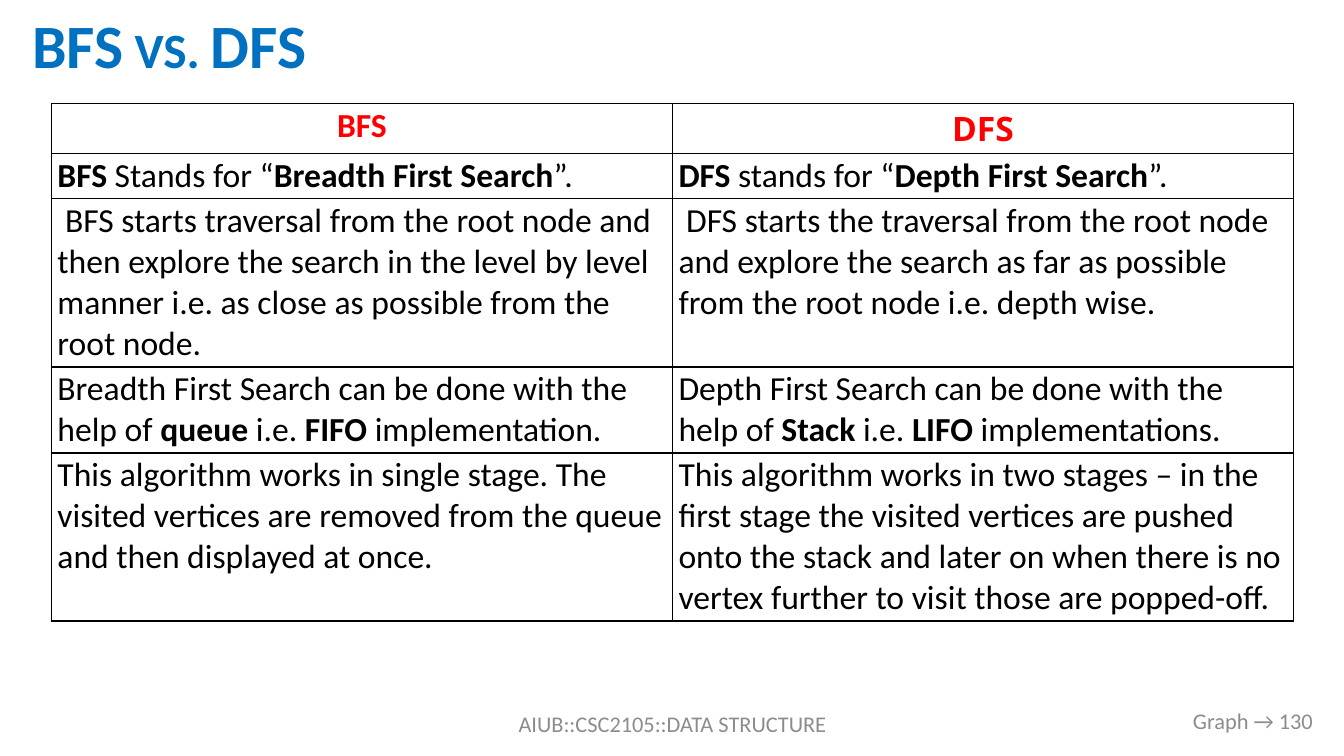
import pptx
import pptx.util
import pptx.dml.color
import pptx.enum.text
from pptx.util import Inches
from lxml import etree

TITLE = "BFS vs. DFS"
HEADERS = [("BFS", "Calibri"), ("DFS", "Open Sans")]
ROWS = [
    ([("BFS", True), (" Stands for “", False), ("Breadth First Search", True), ("”.", False)],
     [("DFS", True), (" stands for “", False), ("Depth First Search", True), ("”.", False)]),
    ([(" BFS starts traversal from the root node and then explore the search in the "
       "level by level manner i.e. as close as possible from the root node.", False)],
     [(" DFS starts the traversal from the root node and explore the search as far as "
       "possible from the root node i.e. depth wise.", False)]),
    ([("Breadth First Search can be done with the help of ", False), ("queue", True),
      (" i.e. ", False), ("FIFO", True), (" implementation.", False)],
     [("Depth First Search can be done with the help of ", False), ("Stack", True),
      (" i.e. ", False), ("LIFO", True), (" implementations.", False)]),
    ([("This algorithm works in single stage. The visited vertices are removed from "
       "the queue and then displayed at once.", False)],
     [("This algorithm works in two stages – in the first stage the visited vertices "
       "are pushed onto the stack and later on when there is no vertex further to "
       "visit those are popped-off.", False)]),
]
ROW_HEIGHTS = [0.48, 0.44, 1.67, 0.84, 1.66]
COLUMN_WIDTH = 6.16
ALIGN = pptx.enum.text.PP_ALIGN
MIDDLE = pptx.enum.text.MSO_ANCHOR.MIDDLE
FOOTERS = [
    ("AIUB::CSC2105::DATA STRUCTURE", (4.42, 6.98, 4.5, 0.4), ALIGN.CENTER),
    ("Graph → 130", (10.12, 6.95, 3, 0.4), ALIGN.RIGHT),
]
THEME = {
    "font": "Calibri",
    "title": "0070C0", "header": "FF0000", "text": "000000",
    "footer": "8C8C8C", "cell": "FFFFFF", "border": "000000",
    "title_size": 44, "table_size": 24, "footer_size": 16,
}


def rgb(role):
    return pptx.dml.color.RGBColor.from_string(THEME[role])


def add_run(p, text, role, size, bold=False, font=THEME["font"]):
    r = p.add_run()
    r.text = text
    r.font.name = font
    r.font.size = pptx.util.Pt(THEME[size])
    r.font.bold = bold
    r.font.color.rgb = rgb(role)
    return r


def format_cell(cell):
    cell.margin_left = cell.margin_right = Inches(0.06)
    cell.margin_top = cell.margin_bottom = Inches(0.02)
    tcPr = cell._tc.get_or_add_tcPr()
    for side in ("lnL", "lnR", "lnT", "lnB"):
        ln = etree.SubElement(tcPr, pptx.oxml.ns.qn("a:" + side), w="12700")
        fill = etree.SubElement(ln, pptx.oxml.ns.qn("a:solidFill"))
        etree.SubElement(fill, pptx.oxml.ns.qn("a:srgbClr"), val=THEME["border"])
    cell.fill.solid()
    cell.fill.fore_color.rgb = rgb("cell")


def add_title(s):
    sp = s.shapes.title
    sp.left, sp.top, sp.width, sp.height = map(Inches, (0.22, 0.02, 12.9, 0.93))
    tf = sp.text_frame
    tf.vertical_anchor = MIDDLE
    tf.auto_size = pptx.enum.text.MSO_AUTO_SIZE.NONE
    p = tf.paragraphs[0]
    p.alignment = ALIGN.LEFT
    p.line_spacing = 0.9
    r = add_run(p, TITLE, "title", "title_size", True)
    r.font._element.set("cap", "small")


def add_comparison(s):
    table = s.shapes.add_table(
        len(ROW_HEIGHTS), len(HEADERS), Inches(0.51), Inches(1.03),
        Inches(COLUMN_WIDTH * len(HEADERS)), Inches(sum(ROW_HEIGHTS))).table
    table.horz_banding = False
    for row, height in zip(table.rows, ROW_HEIGHTS):
        row.height = Inches(height)
    for column in table.columns:
        column.width = Inches(COLUMN_WIDTH)
    for cell in table.iter_cells():
        format_cell(cell)
    for col, (text, font) in enumerate(HEADERS):
        p = table.cell(0, col).text_frame.paragraphs[0]
        p.alignment = ALIGN.CENTER
        add_run(p, text, "header", "table_size", True, font)
    for row, cells in enumerate(ROWS, 1):
        for col, runs in enumerate(cells):
            p = table.cell(row, col).text_frame.paragraphs[0]
            for text, bold in runs:
                add_run(p, text, "text", "table_size", bold)


def add_footers(s):
    for text, box, alignment in FOOTERS:
        tf = s.shapes.add_textbox(*map(Inches, box)).text_frame
        tf.word_wrap = True
        tf.vertical_anchor = MIDDLE
        p = tf.paragraphs[0]
        p.alignment = alignment
        add_run(p, text, "footer", "footer_size")


def main():
    prs = pptx.Presentation()
    prs.slide_width, prs.slide_height = Inches(13.33), Inches(7.5)
    s = prs.slides.add_slide(prs.slide_layouts[5])
    add_title(s)
    add_comparison(s)
    add_footers(s)
    prs.save("out.pptx")


if __name__ == "__main__":
    main()
